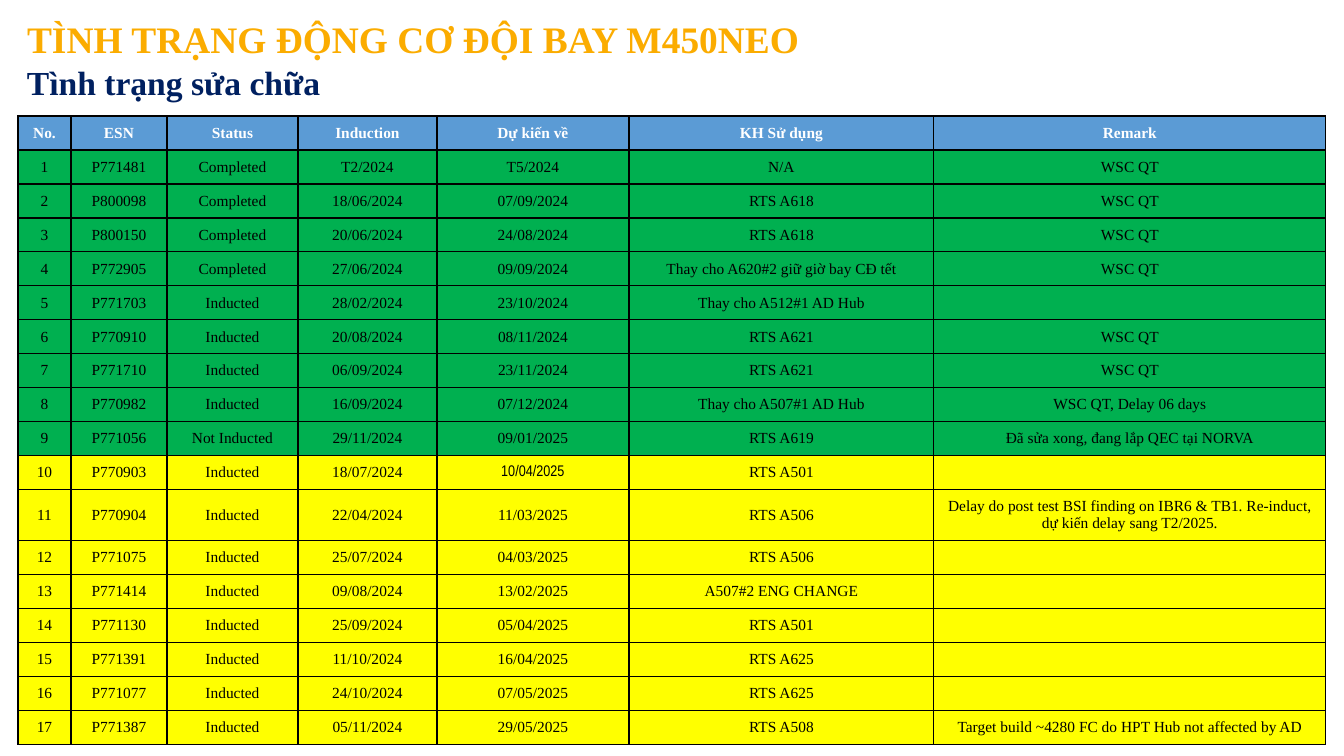
"""Build the engine repair status slide."""
from dataclasses import dataclass

from lxml import etree
from pptx import Presentation
from pptx import util as u
from pptx.dml.color import RGBColor
from pptx.enum import text
from pptx.oxml.ns import qn


@dataclass(frozen=True)
class Theme:
    gold: str = "FBAC00"
    navy: str = "002060"
    blue: str = "5B9BD5"
    green: str = "00B050"
    yellow: str = "FFFF00"
    white: str = "FFFFFF"
    black: str = "000000"
    serif: str = "Times New Roman"
    narrow: str = "Arial Narrow"
    title: float = 26.7
    sub: float = 24
    body: float = 11
    rule: float = 1


def px(n):
    return u.Emu(round(n * 914400 / 100.8))


class Deck:
    def __init__(self, theme):
        self.theme = theme
        self.prs = Presentation()
        self.prs.slide_width, self.prs.slide_height = px(1344), px(756)
        self.slide = self.prs.slides.add_slide(self.prs.slide_layouts[5])

    def run(self, para, words, size, color, bold=False, face=None):
        run = para.add_run()
        run.text = words
        font = run.font
        font.name, font.size, font.bold = face or self.theme.serif, u.Pt(size), bold
        font.color.rgb = RGBColor.from_string(color)

    def head(self, shape, box, words, size, color):
        shape.left, shape.top, shape.width, shape.height = map(px, box)
        frame = shape.text_frame
        frame.word_wrap = True
        frame.auto_size = text.MSO_AUTO_SIZE.SHAPE_TO_FIT_TEXT
        frame.vertical_anchor = text.MSO_ANCHOR.TOP
        para = frame.paragraphs[0]
        para.alignment = text.PP_ALIGN.LEFT
        self.run(para, words, size, color, True)

    def title(self, box, words):
        self.head(self.slide.shapes.title, box, words, self.theme.title, self.theme.gold)

    def label(self, box, words):
        shape = self.slide.shapes.add_textbox(*map(px, box))
        self.head(shape, box, words, self.theme.sub, self.theme.navy)

    def edge(self, cell):
        props = cell._tc.get_or_add_tcPr()
        for side in ("lnL", "lnR", "lnT", "lnB"):
            line = etree.SubElement(props, qn("a:" + side), w=str(u.Pt(self.theme.rule)))
            fill = etree.SubElement(line, qn("a:solidFill"))
            etree.SubElement(fill, qn("a:srgbClr"), val=self.theme.black)

    def cell(self, cell, words, fill, color, bold, face):
        self.edge(cell)
        cell.fill.solid()
        cell.fill.fore_color.rgb = RGBColor.from_string(fill)
        cell.margin_left = cell.margin_right = px(13)
        cell.margin_top = cell.margin_bottom = px(7)
        cell.vertical_anchor = text.MSO_ANCHOR.MIDDLE
        para = cell.text_frame.paragraphs[0]
        para.alignment = text.PP_ALIGN.CENTER
        if words:
            self.run(para, words, self.theme.body, color, bold, face)
        else:
            size = str(round(self.theme.body * 100))
            etree.SubElement(para._p, qn("a:endParaRPr"), sz=size)

    def table(self, left, top, cols, tall, rows, fills, faces):
        highs = [tall.get(i, 34) for i in range(len(rows))]
        box = (left, top, sum(cols), sum(highs))
        grid = self.slide.shapes.add_table(len(rows), len(cols), *map(px, box)).table
        grid.horz_banding = False
        for col, wide in zip(grid.columns, cols):
            col.width = px(wide)
        for i, (row, high) in enumerate(zip(rows, highs)):
            grid.rows[i].height = px(high)
            color = self.theme.black if i else self.theme.white
            for j, words in enumerate(row):
                face = faces.get((i, j))
                self.cell(grid.cell(i, j), words, fills[i], color, i == 0, face)


HEADS = ("No.", "ESN", "Status", "Induction", "Dự kiến về", "KH Sử dụng", "Remark")
DONE = [
    ("P771481", "Completed", "T2/2024", "T5/2024", "N/A", "WSC QT"),
    ("P800098", "Completed", "18/06/2024", "07/09/2024", "RTS A618", "WSC QT"),
    ("P800150", "Completed", "20/06/2024", "24/08/2024", "RTS A618", "WSC QT"),
    ("P772905", "Completed", "27/06/2024", "09/09/2024",
     "Thay cho A620#2 giữ giờ bay CĐ tết", "WSC QT"),
    ("P771703", "Inducted", "28/02/2024", "23/10/2024", "Thay cho A512#1 AD Hub", ""),
    ("P770910", "Inducted", "20/08/2024", "08/11/2024", "RTS A621", "WSC QT"),
    ("P771710", "Inducted", "06/09/2024", "23/11/2024", "RTS A621", "WSC QT"),
    ("P770982", "Inducted", "16/09/2024", "07/12/2024", "Thay cho A507#1 AD Hub",
     "WSC QT, Delay 06 days"),
    ("P771056", "Not Inducted", "29/11/2024", "09/01/2025", "RTS A619",
     "Đã sửa xong, đang lắp QEC tại NORVA"),
]
OPEN = [
    ("P770903", "Inducted", "18/07/2024", "10/04/2025", "RTS A501", ""),
    ("P770904", "Inducted", "22/04/2024", "11/03/2025", "RTS A506",
     "Delay do post test BSI finding on IBR6 & TB1. Re-induct, dự kiến delay sang T2/2025."),
    ("P771075", "Inducted", "25/07/2024", "04/03/2025", "RTS A506", ""),
    ("P771414", "Inducted", "09/08/2024", "13/02/2025", "A507#2 ENG CHANGE", ""),
    ("P771130", "Inducted", "25/09/2024", "05/04/2025", "RTS A501", ""),
    ("P771391", "Inducted", "11/10/2024", "16/04/2025", "RTS A625", ""),
    ("P771077", "Inducted", "24/10/2024", "07/05/2025", "RTS A625", ""),
    ("P771387", "Inducted", "05/11/2024", "29/05/2025", "RTS A508",
     "Target build ~4280 FC do HPT Hub not affected by AD"),
]


def main():
    theme = Theme()
    deck = Deck(theme)
    deck.title((17, 11, 1640, 55), "TÌNH TRẠNG ĐỘNG CƠ ĐỘI BAY M450NEO")
    deck.label((17, 57, 471, 50), "Tình trạng sửa chữa")
    rows = [HEADS] + [(str(n), *row) for n, row in enumerate(DONE + OPEN, 1)]
    fills = [theme.blue] + [theme.green] * len(DONE) + [theme.yellow] * len(OPEN)
    cols = (53, 96, 131, 139, 192, 305, 392)
    deck.table(18, 116, cols, {11: 51}, rows, fills, {(10, 4): theme.narrow})
    deck.prs.save("out.pptx")


if __name__ == "__main__":
    main()
